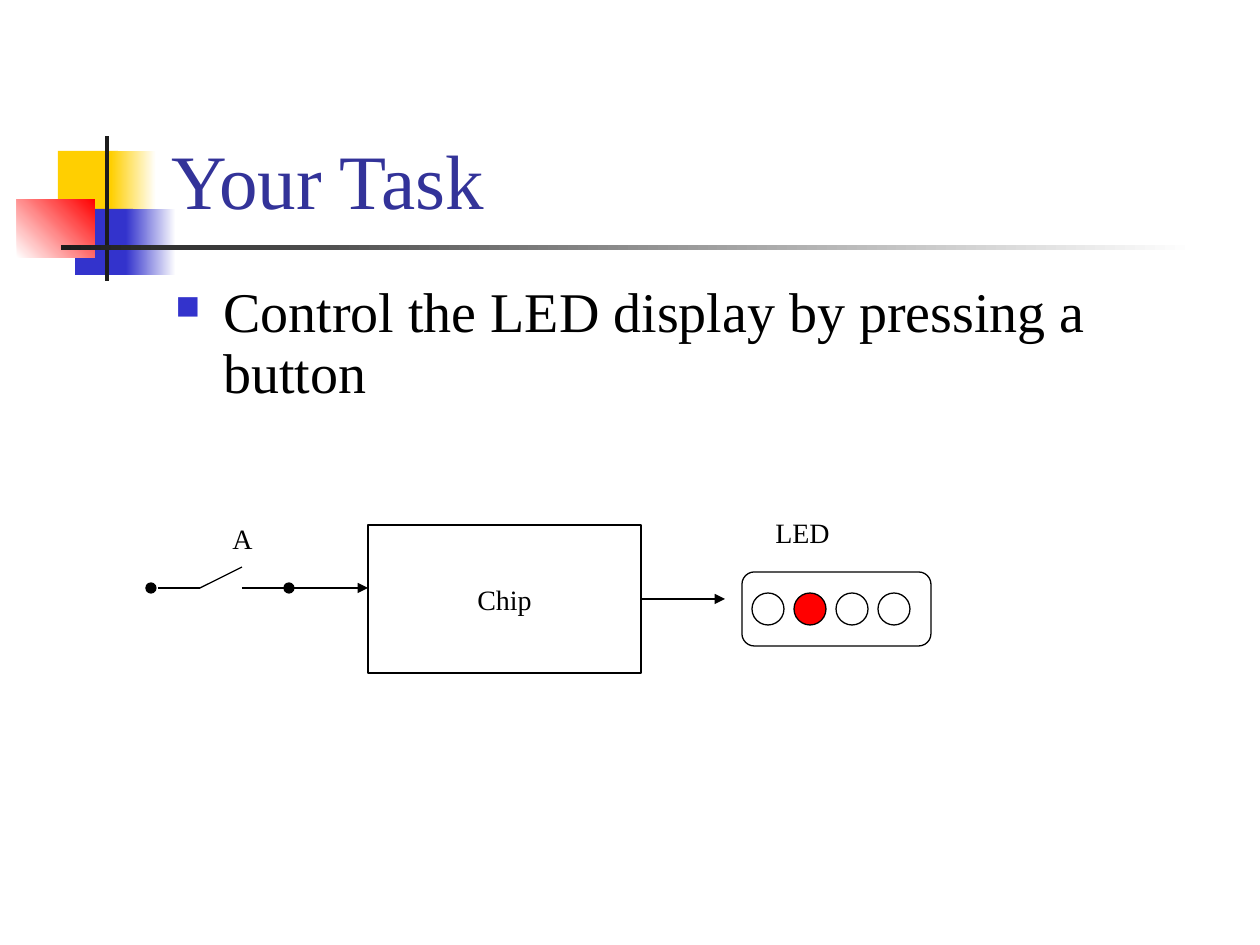
from lxml import etree
from pptx import Presentation
from pptx.dml.color import RGBColor
from pptx.enum.shapes import MSO_CONNECTOR, MSO_SHAPE
from pptx.enum.text import MSO_ANCHOR, MSO_AUTO_SIZE, PP_ALIGN
from pptx.oxml.ns import qn
from pptx.util import Emu, Pt

RECT, OVAL, ROUND = MSO_SHAPE.RECTANGLE, MSO_SHAPE.OVAL, MSO_SHAPE.ROUNDED_RECTANGLE
STRAIGHT = MSO_CONNECTOR.STRAIGHT
TOP, MIDDLE, BOTTOM = MSO_ANCHOR.TOP, MSO_ANCHOR.MIDDLE, MSO_ANCHOR.BOTTOM
CENTER = PP_ALIGN.CENTER
FIT_SHAPE = MSO_AUTO_SIZE.SHAPE_TO_FIT_TEXT

BLACK = RGBColor(0x00, 0x00, 0x00)
WHITE = RGBColor(0xFF, 0xFF, 0xFF)
YELLOW = RGBColor(0xFF, 0xCF, 0x01)
BLUE = RGBColor(0x33, 0x33, 0xCC)
RED = RGBColor(0xFF, 0x00, 0x00)
INK = RGBColor(0x1C, 0x1C, 0x1C)
TITLE_BLUE = RGBColor(0x33, 0x33, 0x99)

FONT = "Times New Roman"
SCALE = 914400 / 126

DECOR = [
    ((58, 151, 60, 66), (YELLOW,), 0),
    ((111, 151, 45, 66), (YELLOW, WHITE), 0),
    ((75, 209, 58, 66), (BLUE,), 0),
    ((126, 209, 50, 66), (BLUE, WHITE), 0),
    ((17, 199, 78, 59), (WHITE, RED), 45),
    ((105, 136, 4, 145), (INK,), 0),
    ((61, 245, 1134, 5), (INK, WHITE), 0),
]
TITLE = ("Your Task", (159, 29, 1074, 202))
BODY = ("Control the LED display by pressing a button", (163, 278, 1071, 142))
LABELS = [("A", (220, 515, 46, 46)), ("LED", (763, 509, 80, 46))]
CHIP = ("Chip", (368, 525, 273, 148))
WIRE_Y = 588
SWITCH = [
    ((158, WIRE_Y), (200, WIRE_Y)),
    ((200, WIRE_Y), (242, 567)),
    ((242, WIRE_Y), (284, WIRE_Y)),
]
DOTS = [146, 284]
DOT_SIZE = 10
LEDS = [(), (RED,), (), ()]
LED_LEFT, LED_TOP, LED_SIZE, LED_PITCH = 752, 593, 32, 42
PANEL = (742, 572, 189, 74)


def px(n):
    return Emu(round(n * SCALE))


def add_shape(s, kind, box, colors=(), angle=0, line=None):
    sp = s.shapes.add_shape(kind, *map(px, box))
    sp.shadow.inherit = False
    if len(colors) > 1:
        sp.fill.gradient()
        sp.fill.gradient_angle = angle
        for i, (stop, color) in enumerate(zip(sp.fill.gradient_stops, colors)):
            stop.position = i
            stop.color.rgb = color
    elif colors:
        sp.fill.solid()
        sp.fill.fore_color.rgb = colors[0]
    else:
        sp.fill.background()
    if line is None:
        sp.line.fill.background()
    else:
        sp.line.color.rgb = line
        sp.line.width = Pt(0.75)
    return sp


def add_line(s, start, end, arrow=False):
    c = s.shapes.add_connector(STRAIGHT, *map(px, start + end))
    c.line.color.rgb = BLACK
    c.line.width = Pt(0.75)
    if arrow:
        etree.SubElement(c.line._get_or_add_ln(), qn("a:tailEnd"), type="triangle")
    etree.SubElement(c._element.spPr, qn("a:effectLst"))
    return c


def set_text(sp, text, size, color=BLACK, anchor=TOP, wrap=False):
    tf = sp.text_frame
    tf.word_wrap = wrap
    tf.vertical_anchor = anchor
    p = tf.paragraphs[0]
    r = p.add_run()
    r.text = text
    r.font.name = FONT
    r.font.size = Pt(size)
    r.font.color.rgb = color
    return p


def add_text(s, text, box, *style, **options):
    return set_text(s.shapes.add_textbox(*map(px, box)), text, *style, **options)


def add_bullet(p, char, color, percent, indent):
    pPr = p._p.get_or_add_pPr()
    pPr.set("marL", str(indent))
    pPr.set("indent", str(-indent))
    clr = etree.SubElement(pPr, qn("a:buClr"))
    etree.SubElement(clr, qn("a:srgbClr"), val=str(color))
    etree.SubElement(pPr, qn("a:buSzPct"), val=str(percent * 1000))
    etree.SubElement(pPr, qn("a:buChar"), char=char)


def main():
    prs = Presentation()
    prs.slide_width, prs.slide_height = px(1260), px(945)
    s = prs.slides.add_slide(prs.slide_layouts[6])

    for box, colors, angle in DECOR:
        add_shape(s, RECT, box, colors, angle)

    add_text(s, *TITLE, 44, TITLE_BLUE, BOTTOM, wrap=True)
    p = add_text(s, *BODY, 32, wrap=True)
    p.line_spacing = 0.9
    p.space_before = Pt(6.4)
    add_bullet(p, "■", BLUE, 60, px(48))

    text, box = CHIP
    chip = add_shape(s, RECT, box, line=BLACK)
    set_text(chip, text, 16, anchor=MIDDLE).alignment = CENTER

    for start, end in SWITCH:
        add_line(s, start, end)
    for x in DOTS:
        add_shape(s, OVAL, (x, WIRE_Y - DOT_SIZE // 2, DOT_SIZE, DOT_SIZE), (BLACK,), line=BLACK)
    add_line(s, (DOTS[-1] + DOT_SIZE, WIRE_Y), (box[0], WIRE_Y), arrow=True)

    middle = box[1] + box[3] // 2
    output = add_line(s, (box[0] + box[2], middle), (725, middle), arrow=True)
    output.begin_connect(chip, 3)

    for i, colors in enumerate(LEDS):
        left = LED_LEFT + i * LED_PITCH
        add_shape(s, OVAL, (left, LED_TOP, LED_SIZE, LED_SIZE), colors, line=BLACK)
    add_shape(s, ROUND, PANEL, line=BLACK)

    for text, box in LABELS:
        sp = s.shapes.add_textbox(*map(px, box))
        set_text(sp, text, 16)
        sp.text_frame.auto_size = FIT_SHAPE

    prs.save("out.pptx")


if __name__ == "__main__":
    main()
